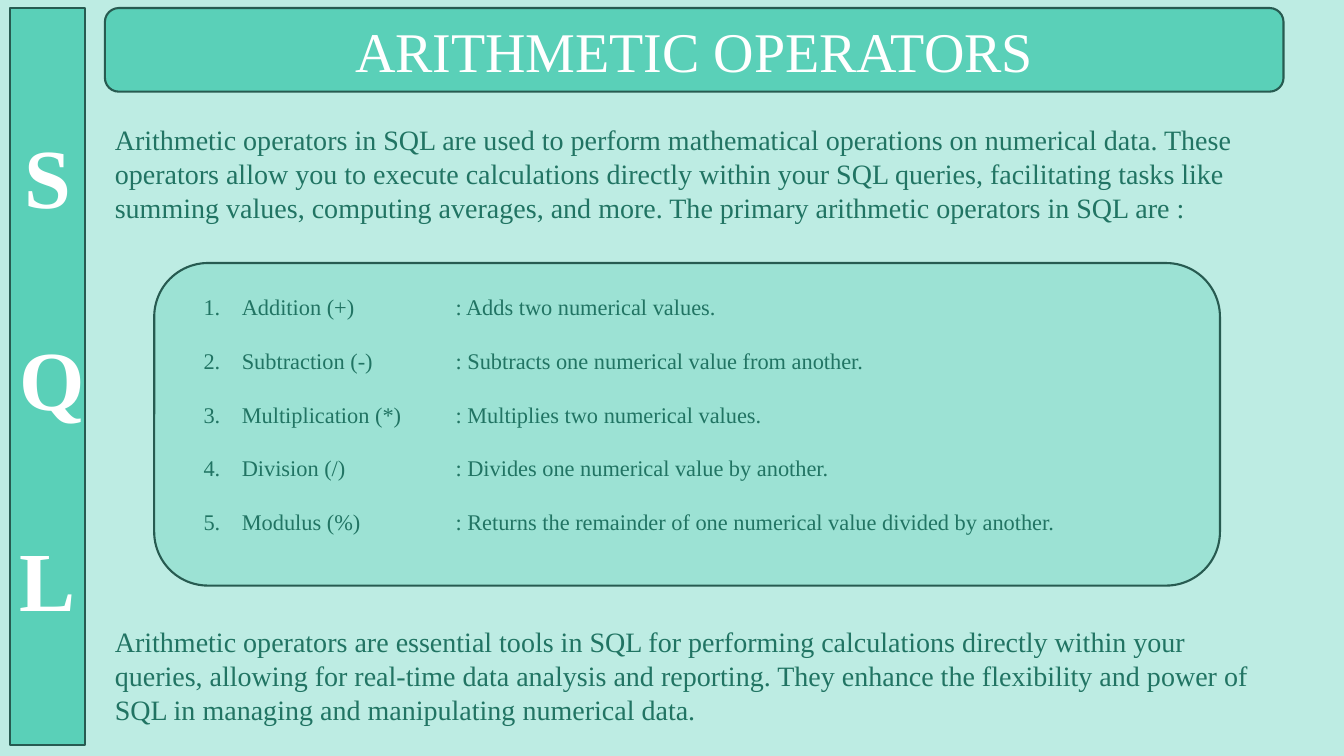
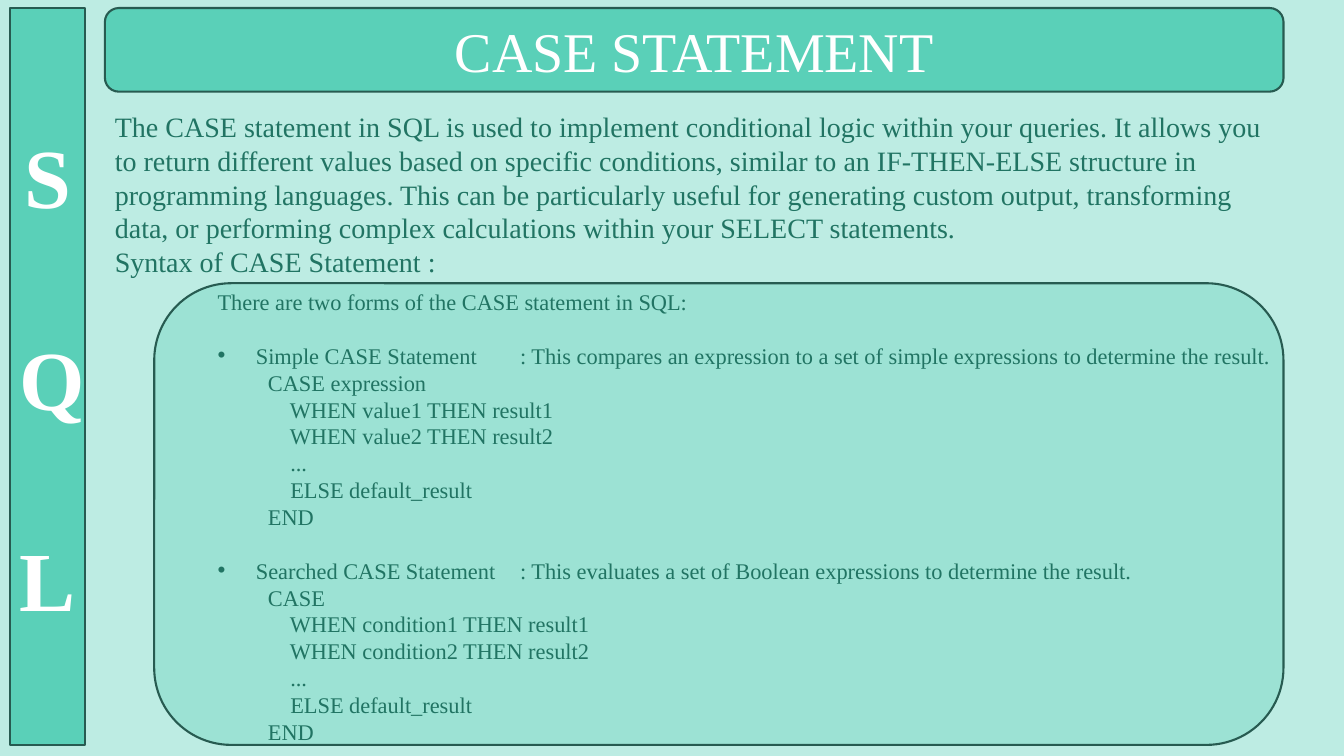
from dataclasses import dataclass

from lxml import etree
from pptx import Presentation
from pptx import util as u
from pptx.dml.color import RGBColor
from pptx.enum import shapes, text
from pptx.oxml import ns


@dataclass(frozen=True)
class Theme:
    font: str = "Times New Roman"
    back: str = "BDECE3"
    fill: str = "5AD0B8"
    edge: str = "275B51"
    ink: str = "217463"
    white: str = "FFFFFF"
    rail: int = 60
    title: int = 40
    body: int = 20
    item: int = 16
    line: float = 1.5
    lead: float = 1.2


LOOK = Theme()
KIND = shapes.MSO_SHAPE
MID = text.PP_ALIGN.CENTER
HEAD = (1.04, 0.08, 11.69, 0.83)
RAIL = (0.1, 0.08, 0.74, 7.31)
HANG = 0.38


def color(code):
    return RGBColor.from_string(code)


def inches(box):
    return [u.Inches(n) for n in box]


def node(parent, tag, **attrs):
    return etree.SubElement(parent, ns.qn(tag), attrs)


def say(frame, words, size=LOOK.body, ink=LOOK.ink, bold=False, align=None,
        gap=0, level=0, left=0, hang=0, mark=None, tab=None):
    para = frame.paragraphs[0]
    if para.runs:
        para = frame.add_paragraph()
    para.level = level
    para.alignment = align
    para.line_spacing = u.Pt(size * LOOK.lead)
    para.space_before = u.Pt(size * LOOK.lead * gap)
    props = para._p.get_or_add_pPr()
    props.set("marL", str(u.Inches(left)))
    props.set("indent", str(u.Inches(-hang)))
    if mark == "1.":
        node(props, "a:buFont", typeface="+mj-lt")
        node(props, "a:buAutoNum", type="arabicPeriod")
    elif mark:
        node(props, "a:buFont", typeface="Arial")
        node(props, "a:buChar", char=mark)
    if tab:
        stops = node(props, "a:tabLst")
        node(stops, "a:tab", pos=str(u.Inches(tab)), algn="l")
    run = para.add_run()
    run.text = words
    run.font.name = LOOK.font
    run.font.size = u.Pt(size)
    run.font.bold = bold
    run.font.color.rgb = color(ink)


def block(slide, kind, box, alpha=None):
    shape = slide.shapes.add_shape(kind, *inches(box))
    shape.shadow.inherit = False
    shape.fill.solid()
    shape.fill.fore_color.rgb = color(LOOK.fill)
    if alpha:
        tint = shape._element.spPr.find(".//" + ns.qn("a:srgbClr"))
        node(tint, "a:alpha", val=str(alpha * 1000))
    shape.line.color.rgb = color(LOOK.edge)
    shape.line.width = u.Pt(LOOK.line)
    return shape


def area(slide, box):
    frame = slide.shapes.add_textbox(*inches(box)).text_frame
    frame.word_wrap = True
    return frame


def rail(slide, box):
    frame = block(slide, KIND.RECTANGLE, box).text_frame
    frame.vertical_anchor = text.MSO_ANCHOR.MIDDLE
    for order, letter in enumerate("SQL"):
        say(frame, letter, size=LOOK.rail, ink=LOOK.white, bold=True,
            align=MID, gap=min(order, 1))


def header(slide, box, words):
    band = block(slide, KIND.ROUNDED_RECTANGLE, box)
    title = slide.shapes.title
    title.left, title.top, title.width, title.height = inches(box)
    band._element.addnext(title._element)
    frame = title.text_frame
    frame.auto_size = text.MSO_AUTO_SIZE.NONE
    frame.vertical_anchor = text.MSO_ANCHOR.MIDDLE
    say(frame, words, size=LOOK.title, ink=LOOK.white, align=MID)


def page(deck, title, panel):
    slide = deck.slides.add_slide(deck.slide_layouts[5])
    block(slide, KIND.ROUNDED_RECTANGLE, panel, alpha=33)
    rail(slide, RAIL)
    header(slide, HEAD, title)
    return slide


def prose(slide, box, *paras):
    frame = area(slide, box)
    for words in paras:
        say(frame, words)


def terms(slide, box, rows):
    frame = area(slide, box)
    for order, (name, use) in enumerate(rows):
        say(frame, f"{name}\t: {use}", size=LOOK.item, gap=min(order, 1),
            left=HANG, hang=HANG, mark="1.", tab=2.5)


def forms(slide, box, intro, groups):
    frame = area(slide, box)
    say(frame, intro, size=LOOK.item)
    for name, use, code in groups:
        say(frame, f"{name}\t: {use}", size=LOOK.item, gap=1,
            left=HANG, hang=HANG, mark="•", tab=3)
        for line in code.splitlines():
            say(frame, line, size=LOOK.item, level=1, left=0.5)


def maths(deck):
    panel = (1.53, 2.61, 10.57, 3.2)
    slide = page(deck, "ARITHMETIC OPERATORS", panel)
    prose(slide, (HEAD[0], 1.17, HEAD[2], 1.11),
          "Arithmetic operators in SQL are used to perform mathematical "
          "operations on numerical data. These operators allow you to execute "
          "calculations directly within your SQL queries, facilitating tasks "
          "like summing values, computing averages, and more. The primary "
          "arithmetic operators in SQL are :")
    terms(slide, (panel[0] + 0.39, panel[1] + 0.25, 10.09, 2.52), [
        ("Addition (+)", "Adds two numerical values."),
        ("Subtraction (-)", "Subtracts one numerical value from another."),
        ("Multiplication (*)", "Multiplies two numerical values."),
        ("Division (/)", "Divides one numerical value by another."),
        ("Modulus (%)", "Returns the remainder of one numerical value "
                        "divided by another."),
    ])
    prose(slide, (HEAD[0], 6.15, HEAD[2], 1.11),
          "Arithmetic operators are essential tools in SQL for performing "
          "calculations directly within your queries, allowing for real-time "
          "data analysis and reporting. They enhance the flexibility and power "
          "of SQL in managing and manipulating numerical data.")


def cases(deck):
    panel = (1.53, 2.81, 11.2, 4.58)
    slide = page(deck, "CASE STATEMENT", panel)
    prose(slide, (HEAD[0], 1.04, HEAD[2], 1.77),
          "The CASE statement in SQL is used to implement conditional logic "
          "within your queries. It allows you to return different values based "
          "on specific conditions, similar to an IF-THEN-ELSE structure in "
          "programming languages. This can be particularly useful for "
          "generating custom output, transforming data, or performing complex "
          "calculations within your SELECT statements.",
          "Syntax of CASE Statement :")
    code = ("CASE{0}\n    WHEN {1}1 THEN result1\n    WHEN {1}2 THEN result2\n"
            "    ...\n    ELSE default_result\nEND")
    forms(slide, (panel[0] + 0.53, panel[1], 10.87, 4.68),
          "There are two forms of the CASE statement in SQL:", [
        ("Simple CASE Statement",
         "This compares an expression to a set of simple expressions to "
         "determine the result.", code.format(" expression", "value")),
        ("Searched CASE Statement",
         "This evaluates a set of Boolean expressions to determine the "
         "result.", code.format("", "condition")),
    ])


def main():
    deck = Presentation()
    deck.slide_width, deck.slide_height = inches((13.33, 7.5))
    back = deck.slide_master.background.fill
    back.solid()
    back.fore_color.rgb = color(LOOK.back)
    maths(deck)
    cases(deck)
    deck.save("out.pptx")


if __name__ == "__main__":
    main()
